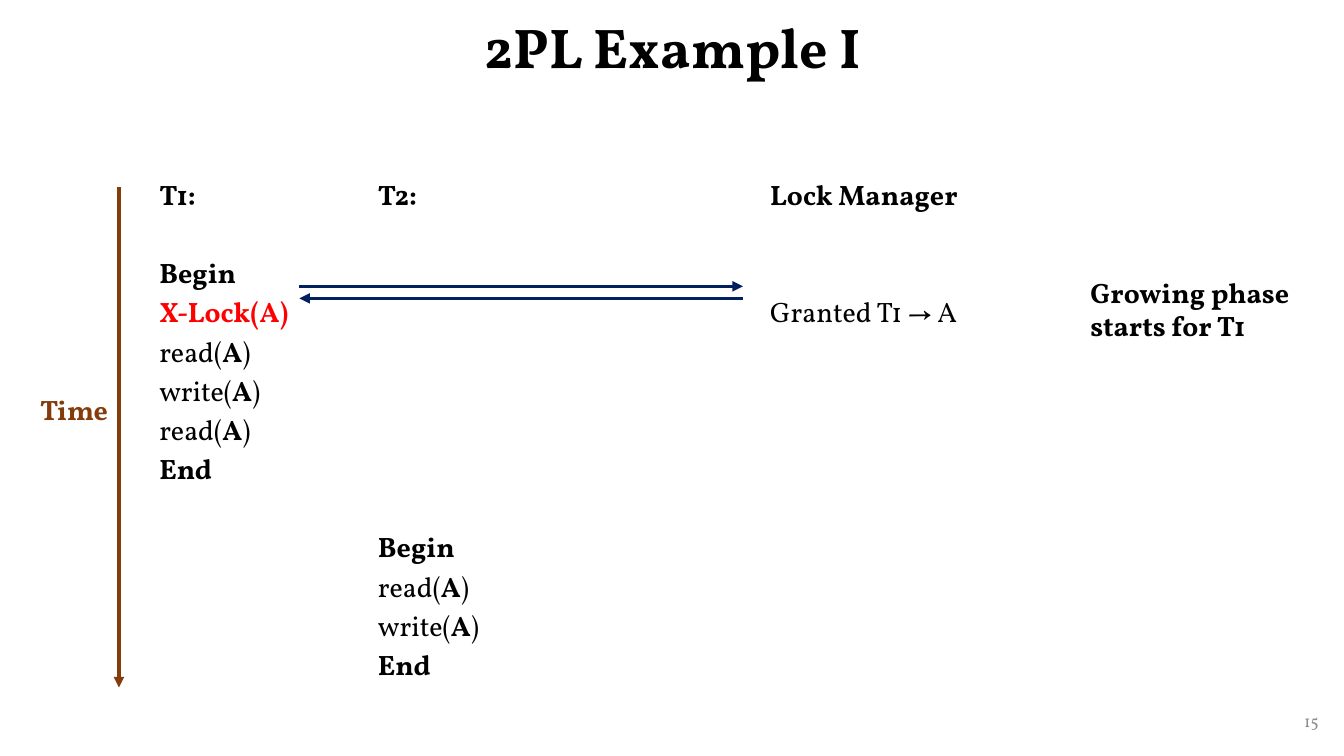
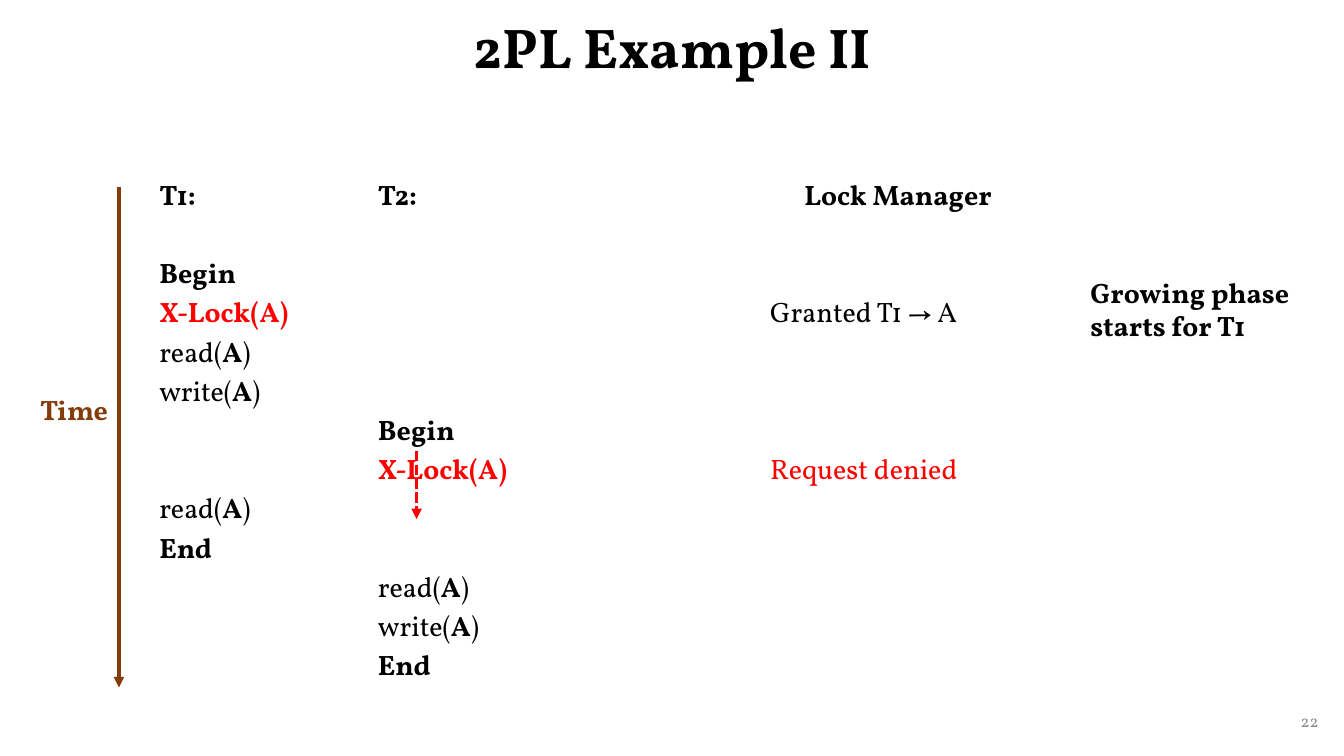
from lxml.etree import SubElement
from pptx import Presentation
from pptx.dml.color import RGBColor
from pptx.enum.dml import MSO_LINE_DASH_STYLE as Dash
from pptx.enum.shapes import MSO_CONNECTOR as Conn
from pptx.enum.text import MSO_ANCHOR as Anchor, MSO_AUTO_SIZE as AutoSize, PP_ALIGN as Align
from pptx.oxml.ns import qn
from pptx.util import Inches, Pt

FONT = "Vollkorn"
COLORS = {"text": "000000", "lock": "FF0000", "time": "843C0B",
          "message": "002060", "number": "8C8C8C"}
WIDTH, HEIGHT = Inches(13.33), Inches(7.5)
LINE_PITCH = 28

# Boxes are left, top, width, height in percent of the slide.
TITLE_BOX = (6.9, 0, 86.25, 13.2)
NUMBER_BOX = (76.35, 92.67, 22.5, 5.33)
TIME_BOX = (2.25, 24.8, 6.6, 66.13)
SCHEDULE_BOX = (11.1, 22.93, 31.66, 44.8)
MANAGER_BOX = (56.55, 22.93, 20.55, 44.8)
PHASE_BOX = (80.4, 35.87, 17.1, 10.27)
MESSAGE_BOX = (22.28, 37.87, 33, 1.6)
WAIT_BOX = (31, 59.6, 0, 9.07)

# A line is (blank rows above, text, look).
READ, WRITE = (0, "read(A)", "call"), (0, "write(A)", "call")
BEGIN, END = (0, "Begin", "bold"), (0, "End", "bold")
X_LOCK = (0, "X-Lock(A)", "lock")
T1_START = [(0, "T1:", "bold"), (1, "Begin", "bold"), X_LOCK, READ, WRITE]
T2_HEAD = (0, "T2:", "bold")
MANAGER = [(0, "Lock Manager", "bold"), (2, "Granted T1 → A", "plain")]


def below(rows, line):
    return (rows, *line[1:])


def place(box):
    x, y, w, h = box
    return (int(WIDTH * x / 100), int(HEIGHT * y / 100),
            int(WIDTH * w / 100), int(HEIGHT * h / 100))


def add_run(p, text, size=20, color="text", bold=False):
    r = p.add_run()
    r.text = text
    for name, value in {"name": FONT, "size": Pt(size), "bold": bold}.items():
        setattr(r.font, name, value)
    r.font.color.rgb = RGBColor.from_string(COLORS[color])


def add_text(shapes, box, text, align=Align.LEFT, wrap=True, anchor=Anchor.TOP, **look):
    tf = shapes.add_textbox(*place(box)).text_frame
    tf.word_wrap = wrap
    tf.vertical_anchor = anchor
    p = tf.paragraphs[0]
    p.alignment = align
    add_run(p, text, **look)
    return p


def add_arrow(shapes, start, end, color, dash=None):
    x1, y1, x2, y2 = place((*start, *end))
    c = shapes.add_connector(Conn.STRAIGHT, x1, y1, x2, y2)
    c.line.color.rgb = RGBColor.from_string(COLORS[color])
    c.line.width = Pt(2.5)
    if dash:
        c.line.dash_style = dash
    SubElement(c.line._get_or_add_ln(), qn("a:tailEnd"), type="triangle")
    SubElement(c._element.spPr, qn("a:effectLst"))


def write_lines(cell, lines):
    tf = cell.text_frame
    for i, (blank_rows, text, look) in enumerate(lines):
        p = tf.add_paragraph() if i else tf.paragraphs[0]
        p.line_spacing = Pt(LINE_PITCH)
        p.space_before = Pt(blank_rows * LINE_PITCH)
        if look == "call":
            name, item, close = text.partition("A")
            add_run(p, name)
            add_run(p, item, bold=True)
            add_run(p, close)
        else:
            add_run(p, text, color="lock" if look in ("lock", "denied") else "text",
                    bold=look in ("bold", "lock"))


def add_columns(s, box, columns, shares):
    """One-row table without fills; shares divide the width of the box."""
    tbl = s.shapes.add_table(1, len(columns), *place(box)).table
    tbl.first_row = tbl.horz_banding = False
    for i, (lines, share) in enumerate(zip(columns, shares)):
        tbl.columns[i].width = int(place(box)[2] * share)
        cell = tbl.cell(0, i)
        cell.fill.background()
        write_lines(cell, lines)
    return tbl


def add_timeline(s, box):
    x, y, w, h = box
    group = s.shapes.add_group_shape().shapes
    add_arrow(group, (x + w, y), (x + w, y + h), "time")
    add_text(group, (x, y + 0.4 * h, w, 5.87), "Time", wrap=False, color="time", bold=True)


def add_messages(s, box):
    """Request to the lock manager and its reply."""
    x, y, w, h = box
    add_arrow(s.shapes, (x, y), (x + w, y), "message")
    add_arrow(s.shapes, (x + w, y + h), (x, y + h), "message")


def add_wait(s, box):
    x, y, w, h = box
    add_arrow(s.shapes, (x, y), (x + w, y + h), "lock", Dash.SQUARE_DOT)


def set_title(s, text):
    title = s.shapes.title
    title.left, title.top, title.width, title.height = place(TITLE_BOX)
    tf = title.text_frame
    for name, value in {"auto_size": AutoSize.NONE, "word_wrap": True,
                        "vertical_anchor": Anchor.MIDDLE}.items():
        setattr(tf, name, value)
    p = tf.paragraphs[0]
    p.alignment = Align.CENTER
    p.line_spacing = 0.9
    add_run(p, text, size=40, bold=True)


def add_example(prs, title, number, t1, t2, manager, manager_align=Align.LEFT):
    s = prs.slides.add_slide(prs.slide_layouts[5])
    set_title(s, title)
    add_text(s.shapes, NUMBER_BOX, number, Align.RIGHT, anchor=Anchor.MIDDLE,
             size=12, color="number")
    add_columns(s, SCHEDULE_BOX, [t1, t2], [0.514, 0.486])
    add_timeline(s, TIME_BOX)
    tbl = add_columns(s, MANAGER_BOX, [manager], [1])
    tbl.cell(0, 0).text_frame.paragraphs[0].alignment = manager_align
    phase = add_text(s.shapes, PHASE_BOX, "Growing phase starts for T1", bold=True)
    phase.line_spacing = Pt(23.6)
    return s


def main():
    prs = Presentation()
    prs.slide_width, prs.slide_height = WIDTH, HEIGHT
    s = add_example(prs, "2PL Example I", "15", T1_START + [READ, END],
                    [T2_HEAD, below(8, BEGIN), READ, WRITE, END], MANAGER)
    add_messages(s, MESSAGE_BOX)
    s = add_example(prs, "2PL Example II", "22", T1_START + [below(2, READ), END],
                    [T2_HEAD, below(5, BEGIN), X_LOCK, below(2, READ), WRITE, END],
                    MANAGER + [(3, "Request denied", "denied")], Align.CENTER)
    add_wait(s, WAIT_BOX)
    prs.save("out.pptx")


if __name__ == "__main__":
    main()
